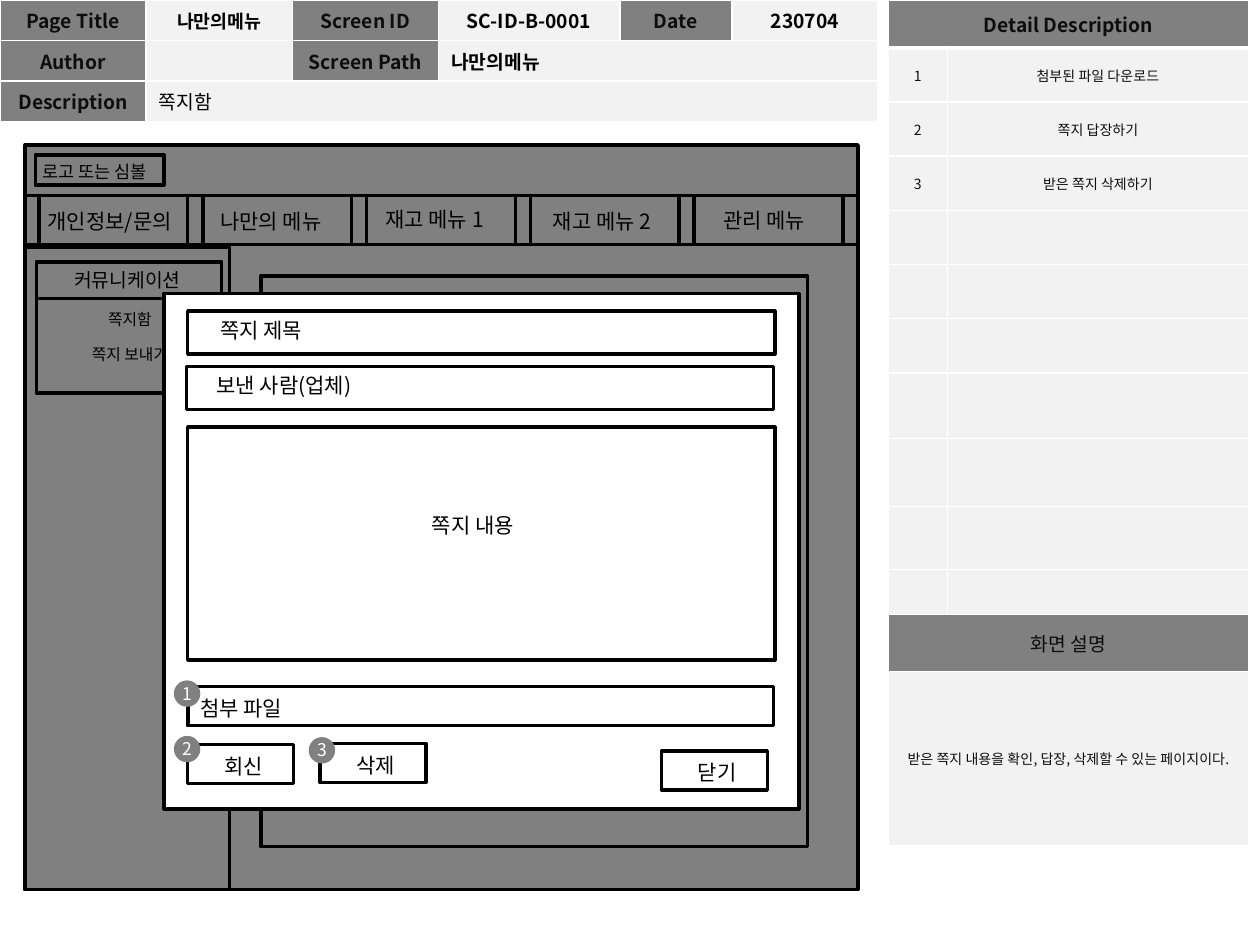
"""Build a wireframe slide of a message pop-up with its detail tables."""
from lxml.etree import SubElement
from pptx import Presentation
from pptx.dml.color import RGBColor
from pptx.enum.shapes import MSO_SHAPE
from pptx.enum.text import MSO_ANCHOR, MSO_AUTO_SIZE, PP_ALIGN
from pptx.oxml.ns import qn
from pptx.util import Inches, Pt

FONT = "Noto Sans CJK KR"
COLORS = {"gray": "808080", "pale": "F2F2F2", "white": "FFFFFF",
          "black": "000000", "ink": "0D0D0D"}


def tint(name):
    return RGBColor.from_string(COLORS[name])


def write(frame, text, size=12, color="black", bold=False, align=PP_ALIGN.LEFT, gap=0):
    frame.text = text
    for rank, para in enumerate(frame.paragraphs):
        para.alignment = align
        if rank and gap:
            para.space_before = Pt(gap)
        if not para.runs:
            para._p.get_or_add_endParaRPr().set("sz", str(size * 100))
        for run in para.runs:
            font = run.font
            font.name, font.size, font.bold = FONT, Pt(size), bold
            font.color.rgb = tint(color)
            SubElement(font._element, qn("a:ea"), typeface=FONT)


class Wire:
    def __init__(self, slide, line=2):
        self.shapes = slide.shapes
        self.line = line

    def box(self, left, top, width, height, fill=None, line=True, kind=MSO_SHAPE.RECTANGLE):
        shape = self.shapes.add_shape(kind, Inches(left), Inches(top),
                                      Inches(width), Inches(height))
        shape.shadow.inherit = False
        if fill:
            shape.fill.solid()
            shape.fill.fore_color.rgb = tint(fill)
        else:
            shape.fill.background()
        if line:
            shape.line.color.rgb = tint("black")
            shape.line.width = Pt(self.line)
        else:
            shape.line.fill.background()

    def label(self, text, left, top, width, height=0.3, wrap=False, **style):
        area = self.shapes.add_textbox(Inches(left), Inches(top),
                                       Inches(width), Inches(height))
        frame = area.text_frame
        write(frame, text, **style)
        frame.word_wrap = wrap
        frame.auto_size = MSO_AUTO_SIZE.SHAPE_TO_FIT_TEXT

    def badge(self, text, left, top):
        self.box(left, top, 0.21, 0.21, fill="gray", line=False, kind=MSO_SHAPE.OVAL)
        self.label(text, left - 0.03, top - 0.03, 0.28, 0.27, size=10, color="white")

    def table(self, left, top, cols, rows):
        grid = self.shapes.add_table(len(rows), len(cols), Inches(left), Inches(top),
                                     Inches(sum(cols)), Inches(sum(rows))).table
        for col, width in zip(grid.columns, cols):
            col.width = Inches(width)
        for row, height in zip(grid.rows, rows):
            row.height = Inches(height)
        return grid

    def cell(self, cell, text="", fill="pale", align=PP_ALIGN.CENTER, base=1, **style):
        cell.vertical_anchor = MSO_ANCHOR.MIDDLE
        write(cell.text_frame, text, align=align, **style)
        props = cell._tc.get_or_add_tcPr()
        for side, width in (("L", 1), ("R", 1), ("T", 1), ("B", base)):
            edge = SubElement(props, qn(f"a:ln{side}"), w=str(Pt(width)))
            paint = SubElement(edge, qn("a:solidFill"))
            SubElement(paint, qn("a:srgbClr"), val=COLORS["white"])
        cell.fill.solid()
        cell.fill.fore_color.rgb = tint(fill)


def add_header(wire):
    grid = wire.table(0, 0, [1.16, 1.16, 1.16, 1.44, 0.89, 1.16], [0.31, 0.32, 0.32])
    grid.cell(1, 3).merge(grid.cell(1, 5))
    grid.cell(2, 1).merge(grid.cell(2, 5))
    rows = [["Page Title", "나만의메뉴", "Screen ID", "SC-ID-B-0001", "Date", "230704"],
            ["Author", "", "Screen Path", "나만의메뉴"],
            ["Description", "쪽지함"]]
    for y, row in enumerate(rows):
        for x, text in enumerate(row):
            name = x % 2 == 0
            left = y > 0 and not name
            wire.cell(grid.cell(y, x), text, fill="gray" if name else "pale",
                      size=10.5 if (y, x) == (0, 1) else 11,
                      color="ink" if name else "black", bold=text != "쪽지함",
                      align=PP_ALIGN.LEFT if left else PP_ALIGN.CENTER)


def add_details(wire):
    heights = [0.38] + [0.43] * 6 + [0.52, 0.54, 0.5, 0.36, 0.45, 1.38]
    grid = wire.table(7.05, 0, [0.47, 2.39], heights)
    notes = ["첨부된 파일 다운로드", "쪽지 답장하기", "받은 쪽지 삭제하기"]
    for y in (0, 11, 12):
        grid.cell(y, 0).merge(grid.cell(y, 1))
    wire.cell(grid.cell(0, 0), "Detail Description", fill="gray", size=11,
              color="ink", bold=True, base=3)
    for y in range(1, 11):
        pair = (str(y), notes[y - 1]) if y <= len(notes) else ("", "")
        for x, text in enumerate(pair):
            wire.cell(grid.cell(y, x), text, size=8, color="ink")
    wire.cell(grid.cell(11, 0), "화면 설명", fill="gray", size=11, color="ink")
    wire.cell(grid.cell(12, 0), "받은 쪽지 내용을 확인, 답장, 삭제할 수 있는 페이지이다.",
              size=8, color="ink")


def add_page(wire):
    wire.box(0.2, 1.15, 6.61, 5.91, fill="gray")
    wire.box(0.28, 1.23, 1.02, 0.24)
    wire.label("로고 또는 심볼", 0.24, 1.23, 1.14, 0.27, size=10)
    wire.box(0.2, 1.55, 6.61, 0.39)
    tabs = [("개인정보/문의", 0.28, 1.61, 1.28), ("나만의 메뉴", 1.65, 1.61, 1.1),
            ("재고 메뉴 1", 2.96, 1.59, 1.09), ("재고 메뉴 2", 4.29, 1.61, 1.09),
            ("관리 메뉴", 5.64, 1.6, 0.93)]
    for x, tab in enumerate(tabs):
        wire.box(0.31 + 1.3 * x, 1.55, 1.18, 0.39)
        wire.label(*tab)
    wire.box(0.2, 1.96, 1.62, 5.1)
    for height in (0.29, 1.04):
        wire.box(0.29, 2.08, 1.47, height)
    wire.label("커뮤니케이션", 0.49, 2.08, 1.13, 0.29, size=11)
    wire.label("쪽지함\n쪽지 보내기", 0.59, 2.41, 0.88, 0.56, size=9,
               align=PP_ALIGN.CENTER, gap=9)
    wire.box(2.07, 2.19, 4.34, 4.53)


def add_popup(wire):
    wire.box(1.3, 2.33, 5.04, 4.09, fill="white")
    fields = [("쪽지 제목", (1.49, 2.47, 4.66, 0.34), (1.65, 2.47, 1.06)),
              ("보낸 사람(업체)", (1.48, 2.91, 4.66, 0.34), (1.62, 2.91, 1.49)),
              ("쪽지 내용", (1.49, 3.39, 4.66, 1.85), (3.33, 4.02, 1.49)),
              ("첨부 파일", (1.49, 5.45, 4.65, 0.31), (1.49, 5.47, 1.03))]
    for text, frame, place in fields:
        wire.box(*frame)
        wire.label(text, *place, wrap=True)
    for text, left, top in (("회신", 1.49, 5.91), ("삭제", 2.54, 5.9), ("닫기", 5.25, 5.96)):
        wire.box(left, top, 0.84, 0.31)
        wire.label(text, left + 0.19, top + 0.02, 1.03, wrap=True)
    for text, left, top in (("1", 1.38, 5.4), ("2", 1.38, 5.84), ("3", 2.45, 5.85)):
        wire.badge(text, left, top)


def main():
    deck = Presentation()
    deck.slide_width, deck.slide_height = Inches(10), Inches(7.5)
    wire = Wire(deck.slides.add_slide(deck.slide_layouts[6]))
    for step in (add_header, add_details, add_page, add_popup):
        step(wire)
    deck.save("out.pptx")


if __name__ == "__main__":
    main()
